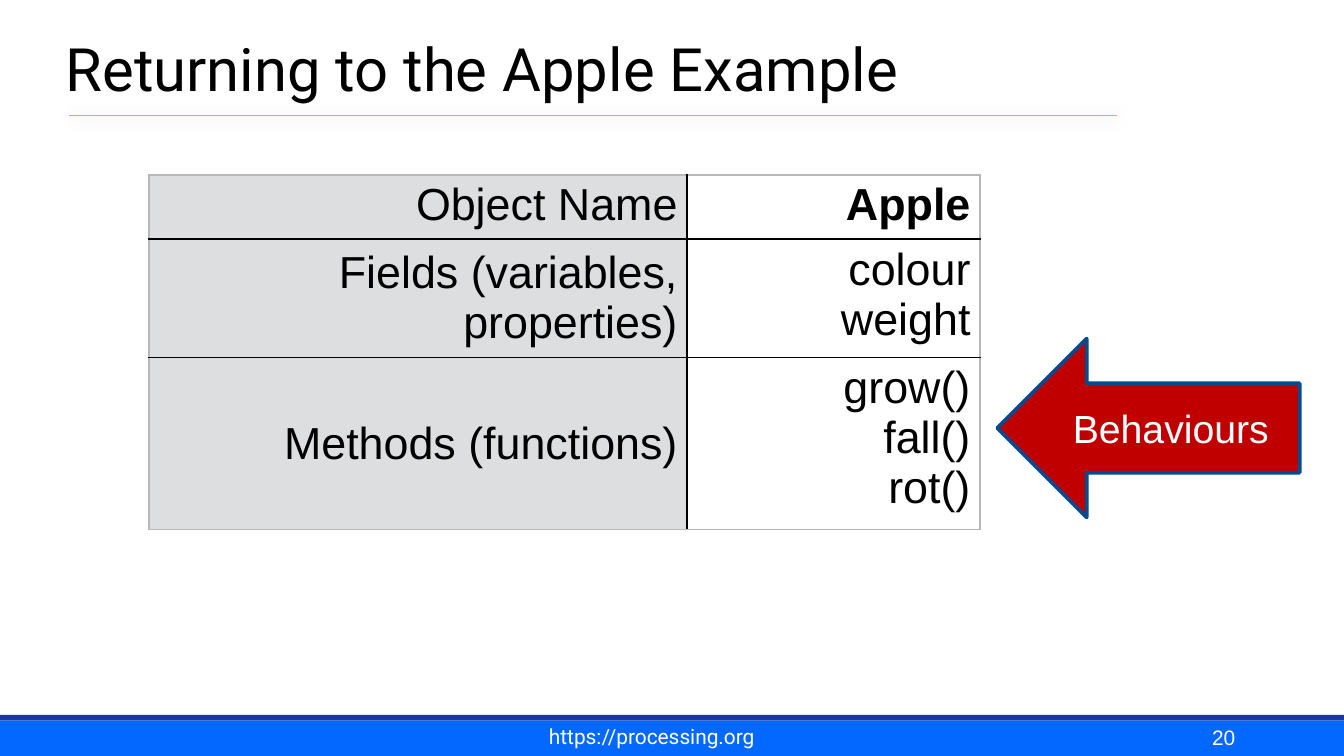
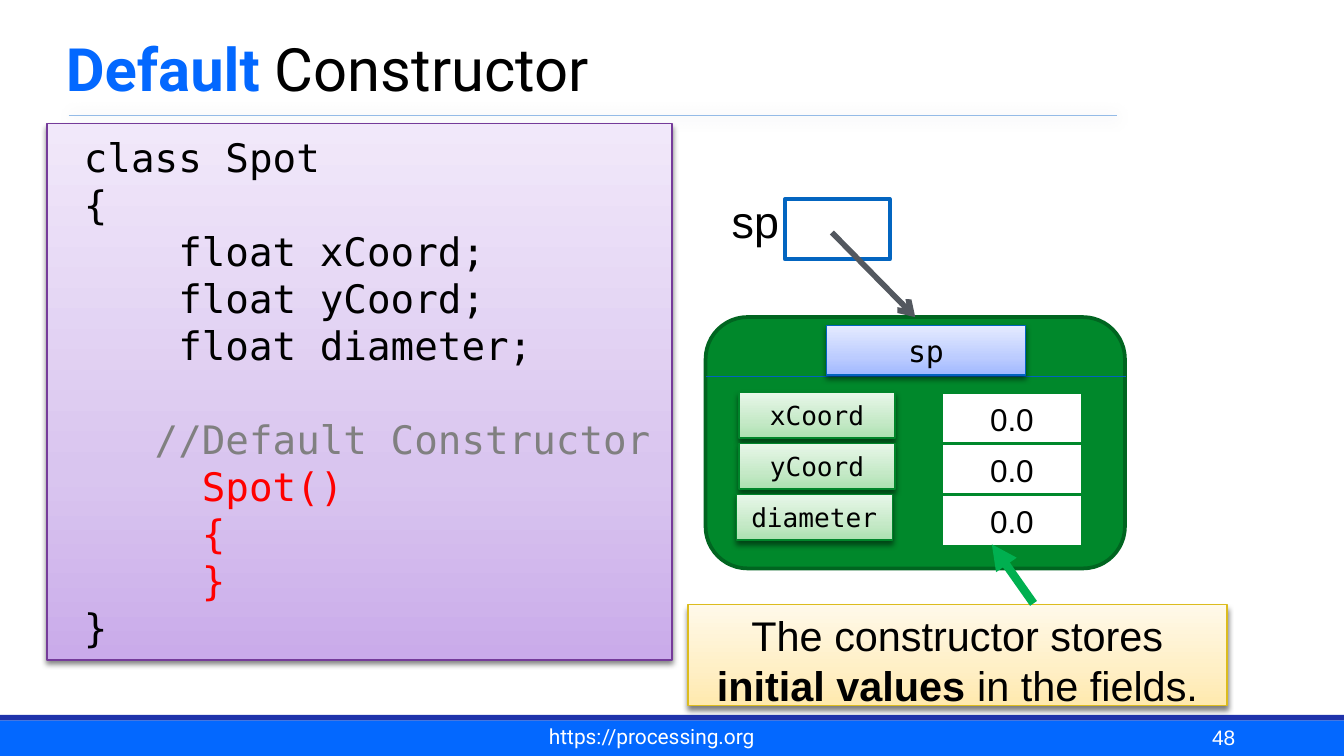
import pptx
import pptx.util
import pptx.oxml
import pptx.oxml.ns
import pptx.dml.color
import pptx.enum.text
import pptx.enum.shapes

COLORS = {
    "black": "000000", "white": "FFFFFF", "blue": "0368FF", "navy": "1F33AB",
    "rule": "94BBE7", "rule_shadow": "003D62", "head_cell": "DCDEE0",
    "table_edge": "B8B8B8", "red": "C00000", "arrow_edge": "024B8E",
    "object": "00882B", "object_edge": "006520", "divider": "0063BF",
    "field_edge": "00852A", "reference": "0365C0", "pointer": "53585F",
    "note_edge": "DCBC1E", "note_arrow": "00B050", "code_edge": "753B9A",
    "comment": "808080", "constructor": "FF0000",
}
GRADIENTS = {
    "note": ("FFE9AD", "FFEFC5", "FFF9E9"),
    "field": ("AAE1AF", "C5E9C7", "E8F7E9"),
    "name": ("A0B8FF", "BCCCFF", "E5EBFF"),
    "code": ("CAABEA", "D9C5EF", "F1E8FA"),
}
GRADIENT_STOPS = (0, 35, 100)
CARD_SHADOW = ("black", 50, 3, 2, 90)
RULE_SHADOW = ("rule_shadow", 20, 8, 1, 45)
SHAPE = pptx.enum.shapes.MSO_SHAPE
ALIGN = pptx.enum.text.PP_ALIGN
ANCHOR = pptx.enum.text.MSO_ANCHOR
Pt = pptx.util.Pt
CELL = pptx.util.Inches(0.1)
COLUMNS, ROWS = 100, 56.25
MONO, SANS, HEADING = "DejaVu Sans Mono", "Arial", "Roboto"


def rgb(color):
    return pptx.dml.color.RGBColor.from_string(COLORS[color])


def grid(*lengths):
    return [round(length * CELL) for length in lengths]


def xml(markup):
    return pptx.oxml.parse_xml(markup.replace(" ", f" {pptx.oxml.ns.nsdecls('a')} ", 1))


def apply(target, values):
    for key, value in values.items():
        setattr(target, key, value)


class Deck:
    def __init__(self):
        self.file = pptx.Presentation()
        apply(self.file, {"slide_width": round(COLUMNS * CELL),
                          "slide_height": round(ROWS * CELL)})
        self.shapes = None

    def new_slide(self, number, title):
        self.shapes = self.file.slides.add_slide(self.file.slide_layouts[6]).shapes
        self.block((0, 53.6, COLUMNS, 2.65), "blue")
        self.block((0, 53.2, COLUMNS, 0.4), "navy")
        self.line((5.1, 8.6), (83.1, 8.6), "rule", 1, shadow=RULE_SHADOW)
        self.text((4.3, 0, 85, 8.3), [title], HEADING, 32, align=ALIGN.LEFT,
                  anchor=ANCHOR.BOTTOM, pad=(0.6, 0.6))
        self.text((35.2, 53.5, 26.6, 2.6), ["https://processing.org"], HEADING, 11.2,
                  "white", anchor=ANCHOR.BOTTOM, pad=(0.8, 0.4))
        self.text((71.7, 53.3, 20.8, 3.1), [str(number)], SANS, 11.2, "white",
                  align=ALIGN.RIGHT, anchor=ANCHOR.BOTTOM, pad=(0.6, 0.6))

    def add_paragraphs(self, frame, paragraphs, font, size, color="black",
                       align=ALIGN.CENTER, layout=None):
        for index, runs in enumerate(paragraphs):
            paragraph = frame.paragraphs[0] if index == 0 else frame.add_paragraph()
            apply(paragraph, {"alignment": align, **(layout or {})})
            for words, extra in [(runs, {})] if isinstance(runs, str) else runs:
                part = paragraph.add_run()
                part.text = words
                values = {"name": font, "size": Pt(size), "bold": False, **extra}
                part.font.color.rgb = rgb(values.pop("color", color))
                apply(part.font, values)

    def fill_frame(self, shape, paragraphs, *style, anchor=ANCHOR.MIDDLE,
                   pad=(1, 0.5), **options):
        side, end = grid(*pad)
        apply(shape.text_frame, {
            "word_wrap": True, "vertical_anchor": anchor,
            "margin_left": side, "margin_right": side,
            "margin_top": end, "margin_bottom": end})
        self.add_paragraphs(shape.text_frame, paragraphs, *style, **options)

    def text(self, place, paragraphs, *style, **options):
        self.fill_frame(self.shapes.add_textbox(*grid(*place)),
                        paragraphs, *style, **options)

    def block(self, place, fill, edge=None, width=0.75, kind=SHAPE.RECTANGLE):
        shape = self.shapes.add_shape(kind, *grid(*place))
        shape.shadow.inherit = False
        if fill in GRADIENTS:
            shape.fill.gradient()
            shape.fill.gradient_angle = 90
            stops = shape.element.spPr.find(".//" + pptx.oxml.ns.qn("a:gsLst"))
            stops.clear()
            for stop, color in zip(GRADIENT_STOPS, GRADIENTS[fill]):
                stops.append(xml(f'<a:gs pos="{stop * 1000}"><a:srgbClr val="{color}"/></a:gs>'))
            self.cast(shape, CARD_SHADOW)
        else:
            shape.fill.solid()
            shape.fill.fore_color.rgb = rgb(fill)
        if edge:
            shape.line.color.rgb = rgb(edge)
            shape.line.width = Pt(width)
        else:
            shape.line.fill.background()
        return shape

    def cast(self, shape, shadow):
        color, alpha, blur, distance, angle = shadow
        effects = shape.element.spPr.find(pptx.oxml.ns.qn("a:effectLst"))
        effects.append(xml(
            f'<a:outerShdw blurRad="{Pt(blur)}" dist="{Pt(distance)}" '
            f'dir="{angle * 60000}" rotWithShape="0"><a:srgbClr val="{COLORS[color]}">'
            f'<a:alpha val="{alpha * 1000}"/></a:srgbClr></a:outerShdw>'))

    def line(self, start, end, color, width, head=None, shadow=None, target=None):
        line = self.shapes.add_connector(
            pptx.enum.shapes.MSO_CONNECTOR.STRAIGHT, *grid(*start, *end))
        line.line.color.rgb = rgb(color)
        line.line.width = Pt(width)
        if head:
            outline = line.element.spPr.find(pptx.oxml.ns.qn("a:ln"))
            outline.append(xml(f'<a:tailEnd type="{head}"/>'))
        line.element.spPr.append(xml("<a:effectLst />"))
        if shadow:
            self.cast(line, shadow)
        if target:
            line.end_connect(*target)

    def table(self, place, widths, heights, rows, size):
        table = self.shapes.add_table(len(rows), len(widths), *grid(*place)).table
        apply(table, {"first_row": False, "horz_banding": False})
        for column, width in zip(table.columns, grid(*widths)):
            column.width = width
        for row, height in zip(table.rows, grid(*heights)):
            row.height = height
        side, end = grid(0.7, 0.4)
        for r, row in enumerate(rows):
            for c, paragraphs in enumerate(row):
                cell = table.cell(r, c)
                heading = c == 0
                apply(cell, {
                    "margin_left": side, "margin_right": side,
                    "margin_top": end, "margin_bottom": end,
                    "vertical_anchor": ANCHOR.MIDDLE if heading and r else ANCHOR.TOP})
                if heading:
                    cell.fill.solid()
                    cell.fill.fore_color.rgb = rgb("head_cell")
                else:
                    cell.fill.background()
                self.add_paragraphs(cell.text_frame, paragraphs, SANS, size,
                                    align=ALIGN.RIGHT)
                outer = {"L": c == 0, "R": c == len(widths) - 1,
                         "T": r == 0, "B": r == len(rows) - 1}
                for index, (edge, outside) in enumerate(outer.items()):
                    color = COLORS["table_edge" if outside else "black"]
                    cell._tc.get_or_add_tcPr().insert(index, xml(
                        f'<a:ln{edge} w="{Pt(1)}"><a:solidFill><a:srgbClr val="{color}"/>'
                        f'</a:solidFill></a:ln{edge}>'))


def apple_slide(deck):
    deck.new_slide(20, "Returning to the Apple Example")
    behaviours = deck.block((74.2, 25.2, 22.5, 13.3), "red", "arrow_edge", 2,
                            SHAPE.LEFT_ARROW)
    deck.fill_frame(behaviours, ["Behaviours"], SANS, 21, "white")
    deck.table((11.1, 13, 61.8, 26.2), (40, 21.8), (4.7, 8.8, 12.7), [
        (["Object Name"], [[("Apple", {"bold": True})]]),
        (["Fields (variables, properties)"], ["colour", "weight"]),
        (["Methods (functions)"], ["grow()", "fall()", "rot()"]),
    ], 24)


def constructor_slide(deck):
    deck.new_slide(48, [("Default", {"bold": True, "color": "blue"}), (" Constructor", {})])

    note = deck.block((51.2, 45, 40.1, 7.5), "note", "note_edge")
    deck.fill_frame(note, [[("The constructor stores ", {}),
                            ("initial values ", {"bold": True}),
                            ("in the fields.", {})]],
                    SANS, 22.2, anchor=ANCHOR.TOP, pad=(0.7, 0.4),
                    layout={"space_before": Pt(4.4)})

    spot = deck.block((52.5, 23.6, 31.2, 18.7), "object", "object_edge", 2,
                      SHAPE.ROUNDED_RECTANGLE)
    deck.line((52.5, 28), (83.8, 28), "divider", 0.75)
    for row, (field, left) in enumerate([("xCoord", 55), ("yCoord", 55), ("diameter", 54.8)]):
        top = 29.2 + 3.8 * row
        label = deck.block((left, top, 11.6, 3.4), "field", "field_edge")
        deck.fill_frame(label, [field], MONO, 14)
        value = deck.block((70, top, 10.6, 3.9), "white", "object", 2)
        deck.fill_frame(value, ["0.0"], SANS, 16.9)
    object_name = deck.block((61.5, 24.2, 14.8, 3.7), "name", "divider")
    deck.fill_frame(object_name, ["sp"], MONO, 16)

    deck.block((58.4, 14.8, 7.8, 4.5), "white", "reference", 2)
    deck.text((53.1, 13.9, 6.2, 5), ["sp"], SANS, 24)
    deck.line((61.9, 17.3), (68.1, 23.6), "pointer", 3, "arrow", target=(spot, 0))
    deck.line((76.9, 44.9), (73.8, 40.5), "note_arrow", 4.5, "triangle")

    code_lines = [
        (1, "class Spot", "black"), (1, "{", "black"),
        (5, "float xCoord;", "black"), (5, "float yCoord;", "black"),
        (5, "float diameter;", "black"), (4, "//Default Constructor", "comment"),
        (6, "Spot()", "constructor"), (6, "{", "constructor"),
        (6, "}", "constructor"), (1, "}", "black"),
    ]
    line_height, character = Pt(25.2), Pt(12.64)
    code = deck.block((3.5, 9.2, 46.5, 39.9), "code", "code_edge")
    deck.fill_frame(code, [[(words, {"color": color})] for _, words, color in code_lines],
                    MONO, 21, align=ALIGN.LEFT, layout={"line_spacing": line_height})
    for paragraph, (indent, _, color) in zip(code.text_frame.paragraphs, code_lines):
        paragraph._p.get_or_add_pPr().set("marL", str(indent * character))
        if color == "comment":
            paragraph.space_before = line_height


def main():
    deck = Deck()
    apple_slide(deck)
    constructor_slide(deck)
    deck.file.save("out.pptx")


if __name__ == "__main__":
    main()
